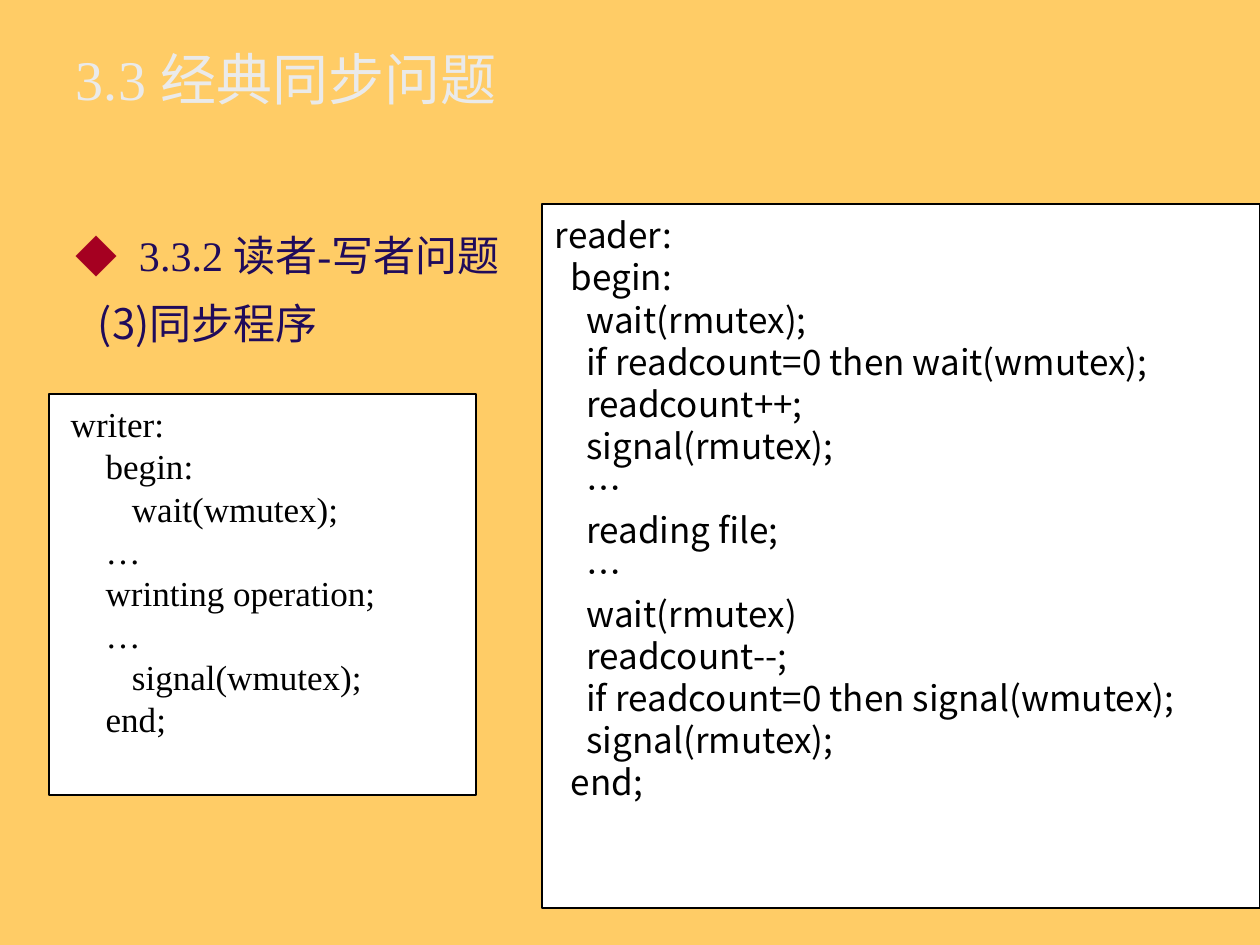
from lxml.etree import SubElement
from pptx import Presentation
from pptx.dml.color import RGBColor
from pptx.enum.shapes import MSO_SHAPE
from pptx.enum.text import MSO_ANCHOR, MSO_AUTO_SIZE, PP_ALIGN
from pptx.oxml.ns import qn
from pptx.util import Emu, Pt

PX_PER_INCH = 126
SERIF, SANS = "Times New Roman", "Noto Sans CJK SC"

WRITER_CODE = """\
 writer:
     begin:
        wait(wmutex);
     …
     wrinting operation;
     …
        signal(wmutex);
     end;"""

READER_CODE = """\
reader:
  begin:
    wait(rmutex);
    if readcount=0 then wait(wmutex);
    readcount++;
    signal(rmutex);
    …
    reading file;
    …
    wait(rmutex)
    readcount--;
    if readcount=0 then signal(wmutex);
    signal(rmutex);
  end;"""


def px(length):
    return Emu(round(length * 914400 / PX_PER_INCH))


def color(hex_value):
    return RGBColor.from_string(hex_value)


class SlideBuilder:
    """Holds the style and the current slide."""

    background, heading, body, bullet = "FFCC66", "EAEAEA", "200B5B", "A50021"
    paper, ink = "FFFFFF", "000000"

    def __init__(self, presentation):
        self.slide = presentation.slides.add_slide(presentation.slide_layouts[1])
        fill = self.slide.background.fill
        fill.solid()
        fill.fore_color.rgb = color(self.background)

    def place(self, shape, left, top, width, height):
        bounds = dict(left=left, top=top, width=width, height=height)
        for name, length in bounds.items():
            setattr(shape, name, px(length))

    def frame(self, shape, anchor, top_inset):
        values = dict(word_wrap=True, auto_size=MSO_AUTO_SIZE.NONE,
                      vertical_anchor=anchor, margin_left=px(13),
                      margin_right=px(13), margin_top=px(top_inset),
                      margin_bottom=px(6))
        for name, value in values.items():
            setattr(shape.text_frame, name, value)
        return shape.text_frame

    def add_text(self, paragraph, text, size, font, hex_value, **layout):
        for name, value in layout.items():
            setattr(paragraph, name, value)
        run = paragraph.add_run()
        run.text = text
        for name, value in dict(size=Pt(size), name=font, bold=False).items():
            setattr(run.font, name, value)
        run.font.color.rgb = color(hex_value)
        # East Asian glyphs always use the sans face
        latin = run._r.get_or_add_rPr().find(qn("a:latin"))
        east_asian = latin.makeelement(qn("a:ea"), {"typeface": SANS})
        latin.addnext(east_asian)

    def title(self, text, *bounds):
        shape = self.slide.shapes.title
        self.place(shape, *bounds)
        frame = self.frame(shape, MSO_ANCHOR.MIDDLE, 6)
        self.add_text(frame.paragraphs[0], text, 32, SERIF, self.heading,
                      alignment=PP_ALIGN.LEFT)

    def topics(self, items, *bounds):
        shape = self.slide.placeholders[1]
        self.place(shape, *bounds)
        frame = self.frame(shape, MSO_ANCHOR.TOP, 2)
        for index, (text, font, mark) in enumerate(items):
            paragraph = frame.add_paragraph() if index else frame.paragraphs[0]
            self.mark(paragraph, mark)
            self.add_text(paragraph, text, 24, font, self.body,
                          line_spacing=Pt(33), space_before=Pt(6 if index else 0))

    def mark(self, paragraph, character):
        properties = paragraph._p.get_or_add_pPr()
        left, indent = (63, -63) if character else (22, 0)
        properties.set("marL", str(px(left)))
        properties.set("indent", str(px(indent)))
        if not character:
            SubElement(properties, qn("a:buNone"))
            return
        bullet_color = SubElement(properties, qn("a:buClr"))
        SubElement(bullet_color, qn("a:srgbClr"), val=self.bullet)
        SubElement(properties, qn("a:buFont"), typeface=SANS)
        SubElement(properties, qn("a:buChar"), char=character)

    def code(self, text, font, alignment, top_inset, *bounds):
        shape = self.slide.shapes.add_shape(
            MSO_SHAPE.RECTANGLE, *(px(length) for length in bounds))
        shape.shadow.inherit = False
        shape.fill.solid()
        shape.fill.fore_color.rgb = color(self.paper)
        shape.line.color.rgb = color(self.ink)
        shape.line.width = Pt(0.75)
        frame = self.frame(shape, MSO_ANCHOR.TOP, top_inset)
        for index, line in enumerate(text.split("\n")):
            paragraph = frame.add_paragraph() if index else frame.paragraphs[0]
            self.add_text(paragraph, line, 20, font, self.ink,
                          alignment=alignment, line_spacing=Pt(24))


def main():
    presentation = Presentation()
    presentation.slide_width, presentation.slide_height = px(1260), px(945)
    builder = SlideBuilder(presentation)

    # Heading and topics
    builder.title("3.3 经典同步问题", 63, 20, 1134, 116)
    builder.topics([("3.3.2 读者-写者问题", SERIF, "◆"),
                    ("(3)同步程序", SANS, None)], 63, 220, 1134, 152)

    # Writer and reader programs
    builder.code(WRITER_CODE, SERIF, PP_ALIGN.JUSTIFY, 9, 49, 394, 427, 401)
    builder.code(READER_CODE, SANS, PP_ALIGN.LEFT, 10, 542, 204, 718, 704)

    presentation.save("out.pptx")


if __name__ == "__main__":
    main()
